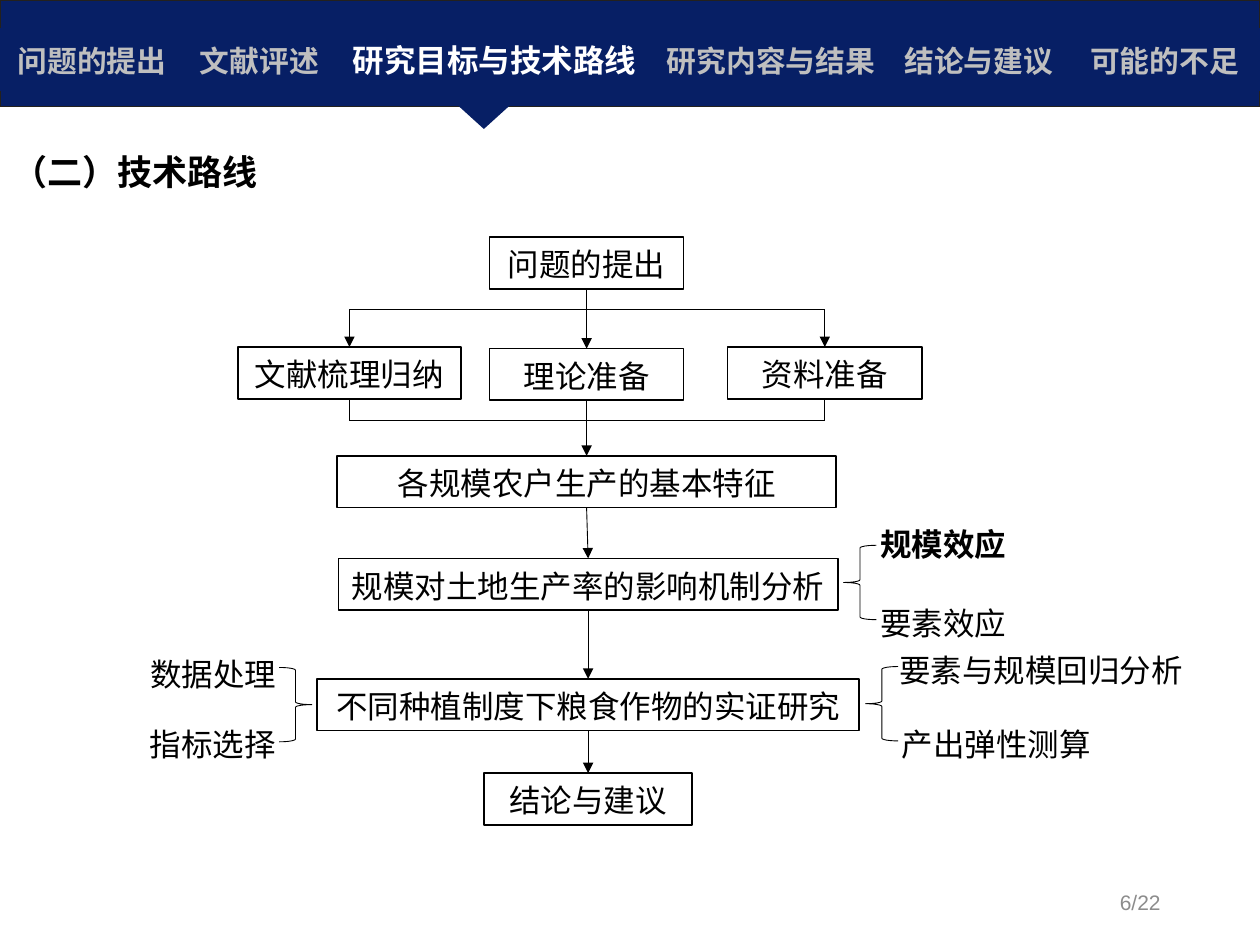
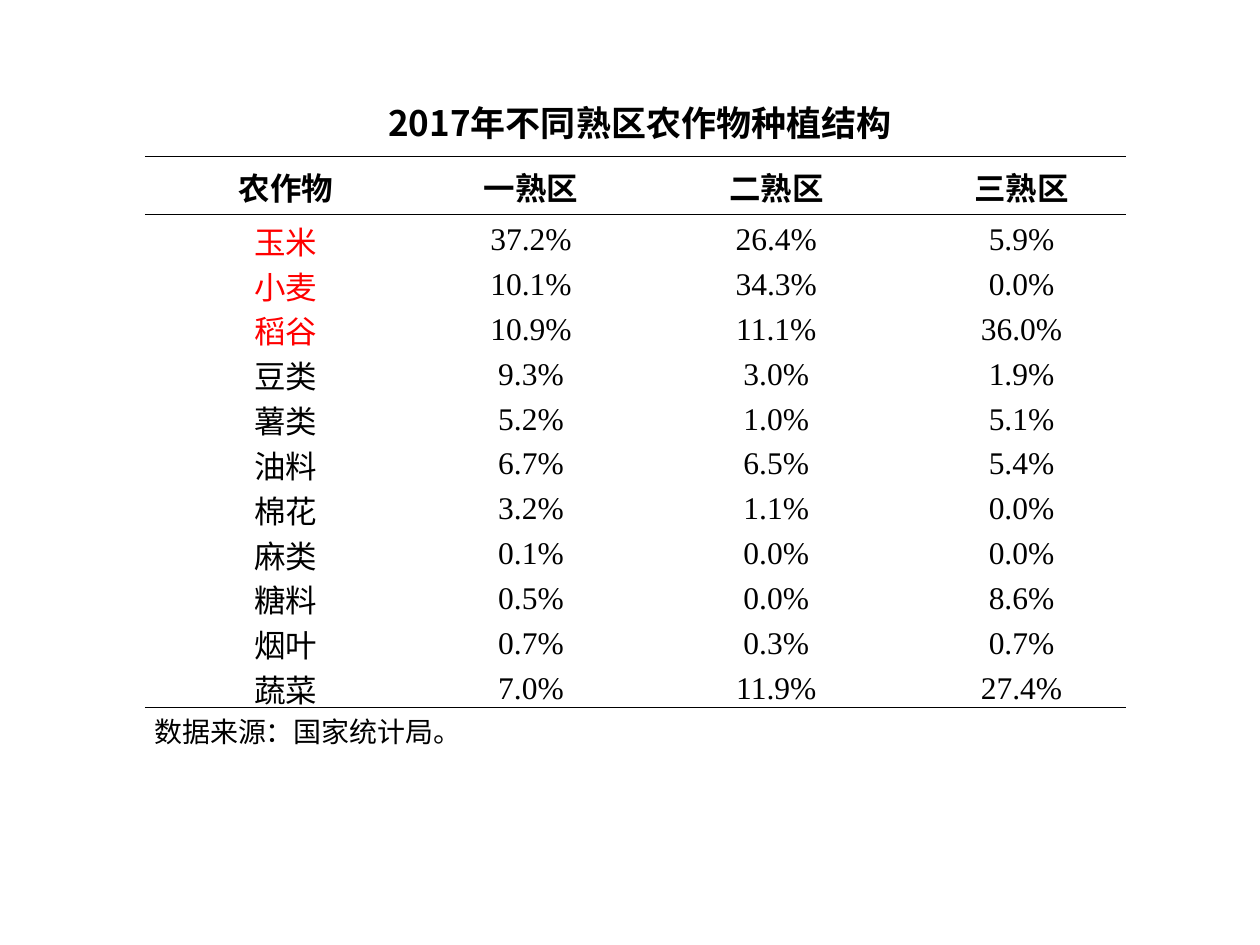
from pptx import Presentation
from pptx.dml.color import RGBColor
from pptx.enum.shapes import MSO_CONNECTOR, MSO_SHAPE
from pptx.enum.text import MSO_ANCHOR, MSO_AUTO_SIZE, PP_ALIGN
from pptx.oxml.ns import qn
from pptx.util import Pt
from lxml import etree

NAVY = RGBColor(0x07, 0x1F, 0x65)
BAND_EDGE = RGBColor(0x24, 0x21, 0x1D)
WHITE = RGBColor(0xFF, 0xFF, 0xFF)
BLACK = RGBColor(0, 0, 0)
RED = RGBColor(0xFF, 0, 0)
SILVER = RGBColor(0xBF, 0xBF, 0xBF)
GRAY = RGBColor(0x8C, 0x8C, 0x8C)
LEFT, CENTER, RIGHT, JUSTIFY = PP_ALIGN.LEFT, PP_ALIGN.CENTER, PP_ALIGN.RIGHT, PP_ALIGN.JUSTIFY
TOP, MIDDLE = MSO_ANCHOR.TOP, MSO_ANCHOR.MIDDLE
RECTANGLE, MERGE = MSO_SHAPE.RECTANGLE, MSO_SHAPE.FLOWCHART_MERGE
LEFT_BRACE, RIGHT_BRACE = MSO_SHAPE.LEFT_BRACE, MSO_SHAPE.RIGHT_BRACE
STRAIGHT = MSO_CONNECTOR.STRAIGHT
CHINESE_FONT = "Noto Sans CJK SC"
PLAIN_TABLE = "{2D5ABB26-0587-4C30-8999-92F81FD0307C}"
TOP_SIDE, BOTTOM_SIDE = 0, 2

BODY = {"name": "Arial", "size": Pt(18), "bold": False}
TITLE = {"name": "Times New Roman", "size": Pt(20), "bold": True}
TABLE_BODY = {"name": "Times New Roman", "size": Pt(18), "bold": False}


def write_text(frame, text, style, color=BLACK, align=CENTER, spacing=1.07):
    para = frame.paragraphs[0]
    para.alignment, para.line_spacing = align, spacing
    span = para.add_run()
    span.text = text
    for name, value in style.items():
        setattr(span.font, name, value)
    span.font.color.rgb = color
    properties = span._r.get_or_add_rPr()
    etree.SubElement(properties, qn("a:ea")).set("typeface", CHINESE_FONT)
    return para


def add_line(page, start, end, arrow=False, source=None, target=None):
    line = page.shapes.add_connector(STRAIGHT, *map(Pt, start + end))
    if source is not None:
        line.begin_connect(source, BOTTOM_SIDE)
    if target is not None:
        line.end_connect(target, TOP_SIDE)
    line.line.color.rgb = BLACK
    line.line.width = Pt(0.5)
    if arrow:
        etree.SubElement(line.line._get_or_add_ln(), qn("a:tailEnd")).set("type", "triangle")
    etree.SubElement(line._element.spPr, qn("a:effectLst"))


deck = Presentation()
deck.slide_width, deck.slide_height = Pt(720), Pt(540)
title_only = deck.slide_layouts[5]

pages = []
for text, style, place, align, anchor, spacing in (
    ("（二）技术路线", TITLE, (0, 82.3, 720, 31.7), LEFT, MIDDLE, 1),
    ("2017年不同熟区农作物种植结构", {**TITLE, "name": CHINESE_FONT},
     (185.7, 47, 360, 38.9), CENTER, TOP, 1.3),
):
    page = deck.slides.add_slide(title_only)
    title = page.shapes.title
    title.left, title.top, title.width, title.height = map(Pt, place)
    frame = title.text_frame
    frame.auto_size, frame.word_wrap, frame.vertical_anchor = MSO_AUTO_SIZE.NONE, True, anchor
    write_text(frame, text, style, align=align, spacing=spacing)
    pages.append(page)
route_page, crop_page = pages

band = route_page.shapes.add_shape(RECTANGLE, 0, 0, Pt(720), Pt(60.8))
pointer = route_page.shapes.add_shape(MERGE, *map(Pt, (261.4, 60, 30.2, 13.7)))
for shape in (band, pointer):
    shape.shadow.inherit = False
    shape.fill.solid()
    shape.fill.fore_color.rgb = NAVY
band.line.color.rgb = BAND_EDGE
band.line.width = Pt(0)
pointer.line.fill.background()

sections = (("问题的提出", 105.1), ("文献评述", 86.4), ("研究目标与技术路线", 182.2),
            ("研究内容与结果", 133.9), ("结论与建议", 103.7), ("可能的不足", 108.7))
current_section = "研究目标与技术路线"
nav = route_page.shapes.add_table(1, len(sections), 0, Pt(15.8), Pt(720), Pt(36))
nav.table.rows[0].height = Pt(36)
for column, (name, width) in enumerate(sections):
    nav.table.columns[column].width = Pt(width)
    cell = nav.table.cell(0, column)
    cell.fill.solid()
    cell.fill.fore_color.rgb = NAVY
    cell.vertical_anchor = MIDDLE
    active = name == current_section
    write_text(cell.text_frame, name, {**BODY, "bold": True, "size": Pt(18 if active else 17)},
               WHITE if active else SILVER, spacing=1)

left_x, middle_x, right_x = 199.7, 335.2, 471.3
steps = {}
for name, center, top, width in (
    ("问题的提出", middle_x, 135.4, 111),
    ("文献梳理归纳", left_x, 198.3, 127.4),
    ("理论准备", middle_x, 199.2, 111),
    ("资料准备", right_x, 198.3, 111),
    ("各规模农户生产的基本特征", middle_x, 260.5, 285.2),
    ("规模对土地生产率的影响机制分析", 336.1, 319.1, 285.2),
    ("不同种植制度下粮食作物的实证研究", 336.1, 387.9, 309.6),
    ("结论与建议", 336.1, 441.8, 119),
):
    box = route_page.shapes.add_shape(
        RECTANGLE, *map(Pt, (center - width / 2, top, width, 29.6)))
    box.shadow.inherit = False
    box.fill.background()
    box.line.color.rgb = BLACK
    box.line.width = Pt(1)
    box.text_frame.word_wrap = True
    box.text_frame.vertical_anchor = MIDDLE
    write_text(box.text_frame, name, BODY)
    steps[name] = box

question, literature, theory, data, *studies = steps.values()
main_line = [question, theory, *studies]
for source, target in zip(main_line, main_line[1:]):
    add_line(route_page, (0, 0), (0, 0), True, source, target)
split_y, join_y = 177.1, 240.3
for y in (split_y, join_y):
    add_line(route_page, (left_x, y), (right_x, y))
for x, box in ((left_x, literature), (right_x, data)):
    add_line(route_page, (x, split_y), (x, split_y), True, target=box)
    add_line(route_page, (x, join_y), (x, join_y), source=box)

for kind, left, top in ((RIGHT_BRACE, 159.5, 381.4), (LEFT_BRACE, 494.6, 380.9),
                        (LEFT_BRACE, 482.1, 311.6)):
    brace = route_page.shapes.add_shape(kind, *map(Pt, (left, top, 18.7, 42.5)))
    brace.shadow.inherit = False
    brace.fill.background()
    brace.line.color.rgb = BLACK
    brace.line.width = Pt(0.5)

BOLD = {**BODY, "bold": True}
PAGE_NUMBER = {**BODY, "size": Pt(12)}
for text, left, top, width, align, style, color in (
    ("数据处理", 71.5, 369.7, 100.8, CENTER, BODY, BLACK),
    ("指标选择", 70.8, 409.7, 101.5, CENTER, BODY, BLACK),
    ("要素与规模回归分析", 506.2, 367.2, 177.4, CENTER, BODY, BLACK),
    ("产出弹性测算", 508.3, 409.7, 146.9, LEFT, BODY, BLACK),
    ("规模效应", 495.8, 295.2, 177.1, LEFT, BOLD, BLACK),
    ("要素效应", 495.8, 340.6, 146.9, LEFT, BODY, BLACK),
    ("6/22", 508.3, 500, 162, RIGHT, PAGE_NUMBER, GRAY),
):
    label = route_page.shapes.add_textbox(*map(Pt, (left, top, width, 29.5)))
    label.text_frame.word_wrap = True
    label.text_frame.vertical_anchor = MIDDLE
    write_text(label.text_frame, text, style, color, align)

crop_rows = (
    ("农作物", "一熟区", "二熟区", "三熟区"),
    ("玉米", "37.2%", "26.4%", "5.9%"),
    ("小麦", "10.1%", "34.3%", "0.0%"),
    ("稻谷", "10.9%", "11.1%", "36.0%"),
    ("豆类", "9.3%", "3.0%", "1.9%"),
    ("薯类", "5.2%", "1.0%", "5.1%"),
    ("油料", "6.7%", "6.5%", "5.4%"),
    ("棉花", "3.2%", "1.1%", "0.0%"),
    ("麻类", "0.1%", "0.0%", "0.0%"),
    ("糖料", "0.5%", "0.0%", "8.6%"),
    ("烟叶", "0.7%", "0.3%", "0.7%"),
    ("蔬菜", "7.0%", "11.9%", "27.4%"),
    ("数据来源：国家统计局。", "", "", ""),
)
main_grains = ("玉米", "小麦", "稻谷")
source_row = len(crop_rows) - 1
ruled_edges = (0, 1, source_row)
crops = crop_page.shapes.add_table(len(crop_rows), 4, *map(Pt, (82.8, 89.5, 560.6, 339.8)))
for column in crops.table.columns:
    column.width = Pt(140.15)
for row, values in enumerate(crop_rows):
    crops.table.rows[row].height = Pt({0: 33, source_row: 24.5}.get(row, 25.65))
    for column, value in enumerate(values):
        cell = crops.table.cell(row, column)
        cell.fill.background()
        cell.vertical_anchor = MIDDLE
        cell.margin_left = cell.margin_right = Pt(5.4)
        cell.margin_top = 0
        cell.margin_bottom = Pt(-2.4) if 0 < row < source_row else 0
        properties = cell._tc.get_or_add_tcPr()
        for tag, edge in (("a:lnB", row + 1), ("a:lnT", row)):
            ruled = edge in ruled_edges
            border = etree.Element(qn(tag), w=str(Pt(1) if ruled else 0))
            fill = etree.SubElement(border, qn("a:solidFill" if ruled else "a:noFill"))
            if ruled:
                etree.SubElement(fill, qn("a:srgbClr"), val=str(BLACK))
            properties.insert(0, border)
        if row == source_row:
            if value:
                write_text(cell.text_frame, value, {**TABLE_BODY, "size": Pt(16)}, align=JUSTIFY)
            continue
        para = write_text(cell.text_frame, value, {**TABLE_BODY, "bold": row == 0},
                          RED if value in main_grains else BLACK)
        para._p.get_or_add_pPr().set("indent", str(Pt(20.9)))
crops.table.cell(source_row, 0).merge(crops.table.cell(source_row, 3))

for holder in (nav, crops):
    holder.table.first_row = holder.table.horz_banding = False
    for style_id in holder._element.iter(qn("a:tableStyleId")):
        style_id.text = PLAIN_TABLE

deck.save("out.pptx")
